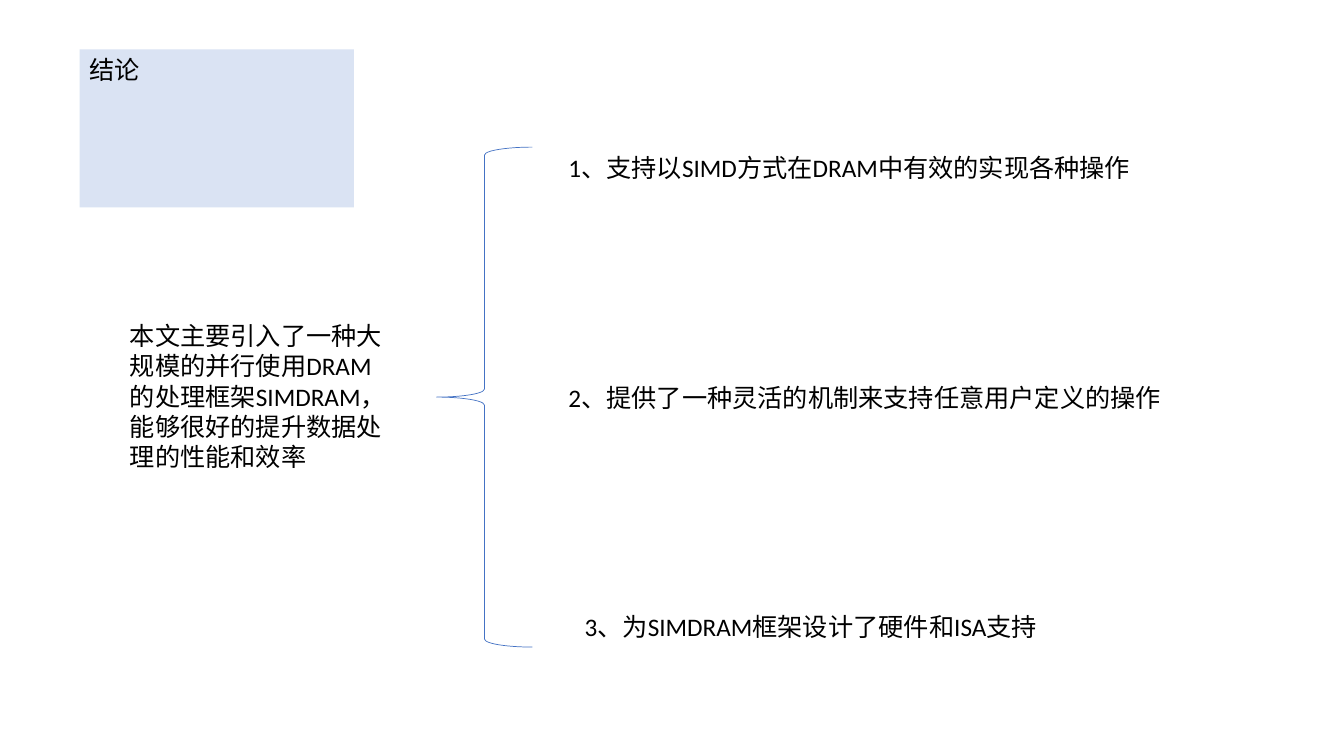
"""Build the conclusion slide: a summary braced to three contributions."""
import pptx
import pptx.dml.color
import pptx.enum.shapes
import pptx.enum.text
import pptx.util

Inches = pptx.util.Inches
RGBColor = pptx.dml.color.RGBColor

BLACK = RGBColor(0x00, 0x00, 0x00)
BLUE = RGBColor(0x44, 0x72, 0xC4)
PALE = RGBColor(0xDA, 0xE3, 0xF3)

SUMMARY = "本文主要引入了一种大规模的并行使用DRAM的处理框架SIMDRAM，能够很好的提升数据处理的性能和效率"
POINTS = [
    ("1、支持以SIMD方式在DRAM中有效的实现各种操作", 5.54, 5.83),
    ("2、提供了一种灵活的机制来支持任意用户定义的操作", 5.54, 6.14),
    ("3、为SIMDRAM框架设计了硬件和ISA支持", 5.7, 4.87),
]
TOP = 1.46
STEP = 2.28


def write(shape, text, size=18, color=BLACK, font="Calibri"):
    frame = shape.text_frame
    frame.text = text
    frame.word_wrap = True
    frame.auto_size = pptx.enum.text.MSO_AUTO_SIZE.SHAPE_TO_FIT_TEXT
    frame.vertical_anchor = pptx.enum.text.MSO_ANCHOR.TOP
    line = frame.paragraphs[0]
    line.alignment = pptx.enum.text.PP_ALIGN.LEFT
    line.font.size = pptx.util.Pt(size)
    line.font.name = font
    line.font.color.rgb = color


def add_title(slide, text, left, top, width, height):
    title = slide.shapes.title
    title.left, title.top = Inches(left), Inches(top)
    title.width, title.height = Inches(width), Inches(height)
    title.fill.solid()
    title.fill.fore_color.rgb = PALE
    write(title, text)


def add_text(slide, text, left, top, width, height=0.4):
    box = slide.shapes.add_textbox(
        Inches(left), Inches(top), Inches(width), Inches(height))
    write(box, text)


def add_brace(slide, left, top, width, height):
    brace = slide.shapes.add_shape(
        pptx.enum.shapes.MSO_SHAPE.LEFT_BRACE,
        Inches(left), Inches(top), Inches(width), Inches(height))
    brace.shadow.inherit = False
    brace.fill.background()
    brace.line.color.rgb = BLUE
    brace.line.width = pptx.util.Pt(0.5)


def main():
    deck = pptx.Presentation()
    deck.slide_width, deck.slide_height = Inches(13.33), Inches(7.5)
    slide = deck.slides.add_slide(deck.slide_layouts.get_by_name("Title Only"))
    add_title(slide, "结论", 0.79, 0.49, 2.72, 0.4)
    add_text(slide, SUMMARY, 1.19, 3.13, 2.77, 1.62)
    add_brace(slide, 4.33, TOP, 0.95, 4.96)
    for row, (text, left, width) in enumerate(POINTS):
        add_text(slide, text, left, TOP + row * STEP, width)
    deck.save("out.pptx")


if __name__ == "__main__":
    main()
